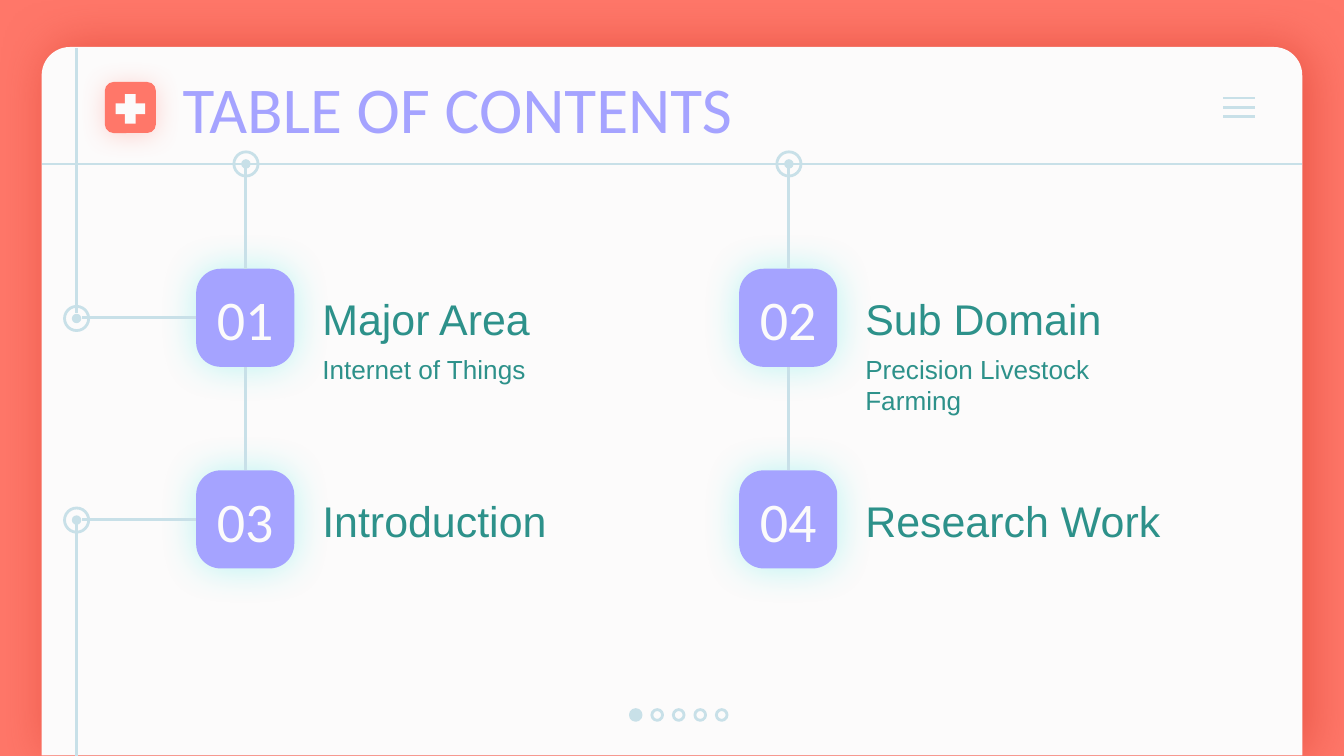
from lxml import etree
from pptx import Presentation
from pptx.dml.color import RGBColor
from pptx.enum import shapes, text
from pptx.oxml import ns
from pptx.util import Inches, Pt

CORAL, PAPER, MIST = "FF7769", "FCFBFB", "C8E0E8"
VIOLET, TEAL, AQUA, RED = "A5A3FF", "2D918A", "53EBE7", "DD4231"
KIND = shapes.MSO_SHAPE
COLOR = RGBColor.from_string

deck = Presentation()
deck.slide_width = Inches(10)
deck.slide_height = Inches(10) * 9 // 16
page = deck.slides.add_slide(deck.slide_layouts[6])
page.background.fill.solid()
page.background.fill.fore_color.rgb = COLOR(CORAL)


def add_shape(kind, left, top, width, height, fill=None, line=None, adjust=(), shadow=None):
    """Add a preset shape; shadow is (colour, opacity %, blur pt, distance pt, degrees)."""
    shape = page.shapes.add_shape(
        kind, Inches(left), Inches(top), Inches(width), Inches(height))
    for index, value in enumerate(adjust):
        shape.adjustments[index] = value
    if fill:
        shape.fill.solid()
        shape.fill.fore_color.rgb = COLOR(fill)
    else:
        shape.fill.background()
    if line:
        shape.line.color.rgb = COLOR(line)
        shape.line.width = Pt(1.5)
    else:
        shape.line.fill.background()
    shape.shadow.inherit = False
    if shadow:
        color, opacity, blur, distance, degrees = shadow
        effects = shape._element.spPr.find(ns.qn("a:effectLst"))
        outer = etree.SubElement(
            effects, ns.qn("a:outerShdw"), blurRad=str(Pt(blur)), dist=str(Pt(distance)),
            dir=str(degrees * 60000), algn="ctr", rotWithShape="0")
        tint = etree.SubElement(outer, ns.qn("a:srgbClr"), val=color)
        etree.SubElement(tint, ns.qn("a:alpha"), val=str(opacity * 1000))
    return shape


def add_line(x1, y1, x2, y2):
    line = page.shapes.add_connector(
        shapes.MSO_CONNECTOR.STRAIGHT, Inches(x1), Inches(y1), Inches(x2), Inches(y2))
    line.line.color.rgb = COLOR(MIST)
    line.line.width = Pt(1.5)
    etree.SubElement(line._element.spPr, ns.qn("a:effectLst"))
    return line


# Card, header rule and left rail
add_shape(KIND.ROUND_2_SAME_RECTANGLE, 0.31, 0.35, 9.38, 5.27, PAPER,
          adjust=(0.04, 0), shadow=(RED, 67, 28.1, 3.8, 0))
RAIL, RULE = 0.57, 1.22
add_line(9.69, RULE, 0.31, RULE)
add_line(RAIL, 0.36, RAIL, 2.33)
add_line(RAIL, 3.9, RAIL, 5.63)

# Ring markers
for x, y in ((RAIL, 2.37), (RAIL, 3.87), (1.83, RULE), (5.87, RULE)):
    for size, colors in ((0.18, {"line": MIST}), (0.07, {"fill": MIST})):
        add_shape(KIND.OVAL, x - size / 2, y - size / 2, size, size, **colors)

# Page dots and menu icon
for index in range(5):
    add_shape(KIND.OVAL, 4.69 + index * 0.16, 5.28, 0.08, 0.08,
              fill=None if index else MIST, line=MIST)
for index in range(3):
    y = 0.73 + index * 0.07
    add_line(9.1, y, 9.34, y)

# Medical cross icon
add_shape(KIND.ROUNDED_RECTANGLE, 0.78, 0.61, 0.38, 0.38, CORAL,
          adjust=(0.17,), shadow=(CORAL, 30, 13.5, 1.5, 90))
for width, height in ((0.08, 0.22), (0.22, 0.08)):
    add_shape(KIND.RECTANGLE, 0.97 - width / 2, 0.81 - height / 2, width, height, PAPER)

# Number tiles on a two by two grid, with their links
COLUMNS, ROWS, TILE = (1.46, 5.5), (2, 3.5), 0.73
entries = (("Major Area", "Internet of Things"),
           ("Sub Domain", "Precision Livestock Farming"),
           ("Introduction", None),
           ("Research Work", None))

number_format = {"size": Pt(30), "name": "Calibri", "color": PAPER}
heading_format = {"size": Pt(23), "name": "Arial", "color": TEAL}
detail_format = {"size": Pt(14), "name": "Arial", "color": TEAL}
title_format = {"size": Pt(35), "name": "Calibri", "color": VIOLET}
MIDDLE, TOP = text.MSO_ANCHOR.MIDDLE, text.MSO_ANCHOR.TOP
LEFT, CENTER = text.PP_ALIGN.LEFT, text.PP_ALIGN.CENTER

labels = [("TABLE OF CONTENTS", 1.26, 0.55, 7.19, 0.5, MIDDLE, LEFT, title_format)]
tiles = []
for index, (heading, detail) in enumerate(entries):
    left, top = COLUMNS[index % 2], ROWS[index // 2]
    tiles.append(add_shape(KIND.ROUNDED_RECTANGLE, left, top, TILE, TILE, VIOLET,
                           adjust=(0.25,), shadow=(AQUA, 40, 20.2, 0, 0)))
    labels.append((f"{index + 1:02}", left, top + 0.12, TILE, 0.5, MIDDLE, CENTER, number_format))
    labels.append((heading, left + 0.84, top + 0.14, 2.56, 0.46, MIDDLE, LEFT, heading_format))
    if detail:
        labels.append((detail, left + 0.84, top + 0.53, 2.56, 0.73, TOP, LEFT, detail_format))

for column, left in enumerate(COLUMNS):
    upper, lower = tiles[column], tiles[column + 2]
    x = left + TILE / 2
    add_line(x, 1.25, x, ROWS[0]).end_connect(upper, 0)
    link = add_line(x, ROWS[0] + TILE, x, ROWS[1])
    link.begin_connect(upper, 2)
    link.end_connect(lower, 0)
for tile, top in zip(tiles[::2], ROWS):
    y = top + TILE / 2
    add_line(0.61, y, COLUMNS[0], y).end_connect(tile, 1)

# Text
for words, left, top, width, height, anchor, align, values in labels:
    box = page.shapes.add_textbox(Inches(left), Inches(top), Inches(width), Inches(height))
    frame = box.text_frame
    frame.word_wrap = True
    frame.vertical_anchor = anchor
    for side in ("left", "top", "right", "bottom"):
        setattr(frame, f"margin_{side}", Inches(0.1))
    para = frame.paragraphs[0]
    para.alignment = align
    span = para.add_run()
    span.text = words
    for name, value in values.items():
        if name == "color":
            span.font.color.rgb = COLOR(value)
        else:
            setattr(span.font, name, value)

deck.save("out.pptx")
